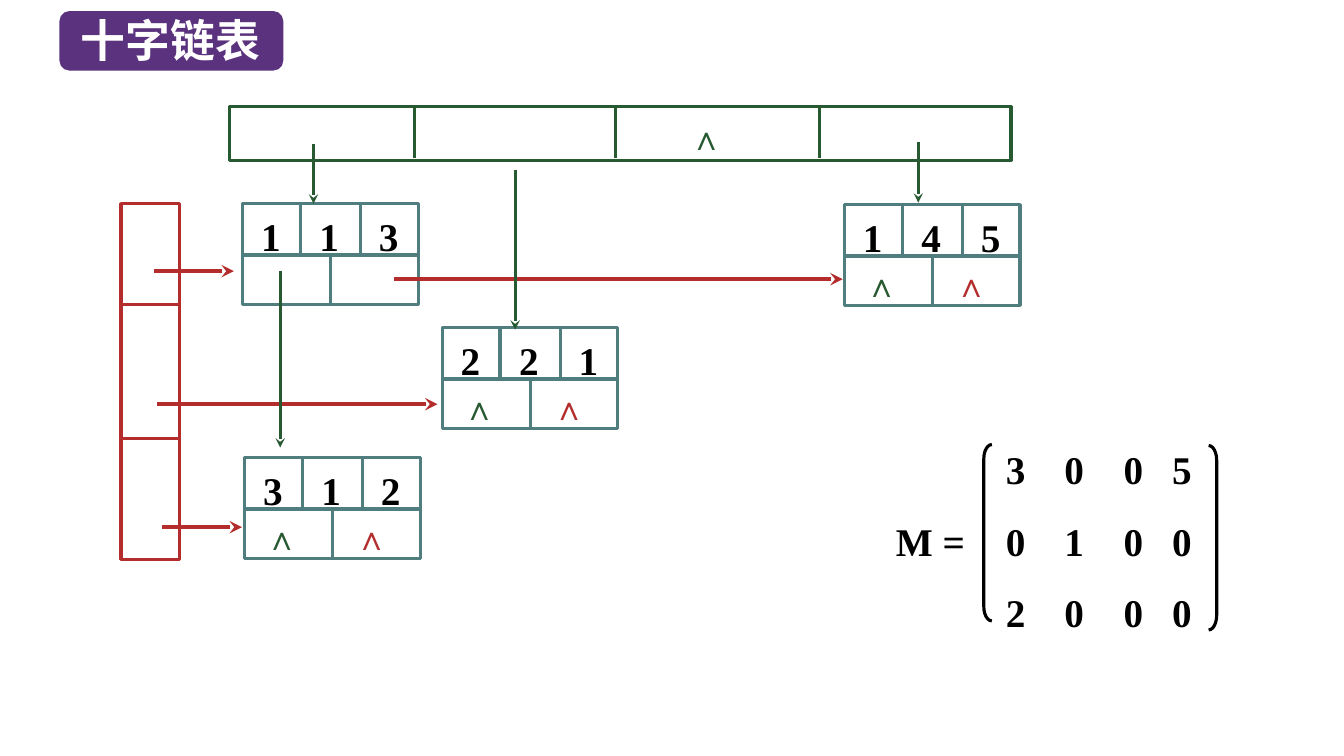
import pptx
import pptx.util
import pptx.dml.color
import pptx.enum.shapes
import pptx.enum.text
import pptx.oxml.ns
from lxml import etree

RGB = pptx.dml.color.RGBColor
PURPLE = RGB(0x5A, 0x32, 0x7D)
TEAL = RGB(0x50, 0x7D, 0x7D)
RED = RGB(0xB4, 0x2D, 0x2D)
GREEN = RGB(0x28, 0x5A, 0x32)
BLACK = RGB(0, 0, 0)
WHITE = RGB(255, 255, 255)

SHAPE = pptx.enum.shapes.MSO_SHAPE
ANCHOR = pptx.enum.text.MSO_ANCHOR
SERIF = "Times New Roman"
SANS = "Noto Sans CJK SC"
TABS = (5.8, 11.7, 16.5)  # digit columns, in grid units


def unit(value):
    """One grid column or row is a tenth of an inch."""
    return pptx.util.Inches(value / 10)


def child(parent, tag, **attrs):
    name = pptx.oxml.ns.qn("a:" + tag)
    return etree.SubElement(parent, name, {k: str(v) for k, v in attrs.items()})


class Board:
    """Holds the style and the current slide; all lengths are grid units."""

    digit = {"size": pptx.util.Pt(28), "name": SERIF, "bold": True}
    caret = {"size": pptx.util.Pt(24), "name": SERIF, "bold": True}
    head = {"size": pptx.util.Pt(32), "name": SANS, "bold": True}
    thin, thick = 2.25, 3

    def __init__(self, deck):
        self.slide = deck.slides.add_slide(deck.slide_layouts[5])
        self.shapes = self.slide.shapes

    def label(self, shape, text, style, color, pad=(1, 0.9), tabs=(),
              anchor=ANCHOR.TOP):
        frame = shape.text_frame
        left, top = map(unit, pad)
        form = {"word_wrap": False, "margin_left": left, "margin_right": 0,
                "margin_top": top, "margin_bottom": 0,
                "vertical_anchor": anchor,
                "auto_size": pptx.enum.text.MSO_AUTO_SIZE.NONE}
        for key, value in form.items():
            setattr(frame, key, value)
        para = frame.paragraphs[0]
        para.alignment = pptx.enum.text.PP_ALIGN.LEFT
        if tabs:
            stops = child(para._p.get_or_add_pPr(), "tabLst")
            for stop in tabs:
                child(stops, "tab", pos=unit(stop), algn="l")
        run = para.add_run()
        run.text = text
        for key, value in style.items():
            setattr(run.font, key, value)
        run.font.color.rgb = color
        child(run.font._element, "ea", typeface=style["name"])

    def title(self, text, *box):
        """Raise the title placeholder above its badge."""
        shape = self.shapes.title
        for key, value in zip(("left", "top", "width", "height"), box):
            setattr(shape, key, unit(value))
        self.label(shape, text, self.head, WHITE, (1, 0), anchor=ANCHOR.MIDDLE)
        self.shapes.element.append(shape.element)

    def shape(self, kind, box, line=None, fill=None, bend=None):
        shape = self.shapes.add_shape(kind, *map(unit, box))
        shape.shadow.inherit = False
        if fill is None:
            shape.fill.background()
        else:
            shape.fill.solid()
            shape.fill.fore_color.rgb = fill
        if line is None:
            shape.line.fill.background()
        else:
            shape.line.color.rgb = line
            shape.line.width = pptx.util.Pt(self.thin)
        if bend is not None:
            shape.adjustments[0] = bend
        return shape

    def text(self, box, text, style, color, **form):
        self.label(self.shapes.add_textbox(*map(unit, box)), text, style, color,
                   **form)

    def line(self, x1, y1, x2, y2, color, width=thin, arrow=False):
        kind = pptx.enum.shapes.MSO_CONNECTOR.STRAIGHT
        line = self.shapes.add_connector(kind, *map(unit, (x1, y1, x2, y2)))
        line.line.color.rgb = color
        line.line.width = pptx.util.Pt(width)
        if arrow:
            child(line.line._get_or_add_ln(), "tailEnd", type="stealth")
        child(line._element.spPr, "effectLst")

    def null(self, x, y, color):
        self.text((x, y, 4.1, 4), "∧", self.caret, color, pad=(0, 0.3))

    def node(self, x, y, cells, down=False, right=False):
        """Row, column and value above; down and right links below."""
        wide, high, mid = 17.4, 10, 5.1
        box = self.shape(SHAPE.RECTANGLE, (x, y, wide, high), TEAL)
        self.label(box, "\t".join(cells), self.digit, BLACK, (1.8, 0.9), TABS)
        self.line(x, y + mid, x + wide, y + mid, TEAL)
        for step in (5.7, 11.7):
            self.line(x + step, y, x + step, y + mid, TEAL)
        self.line(x + wide / 2, y + mid, x + wide / 2, y + high, TEAL)
        for linked, step, color in ((down, 2, GREEN), (right, 10.9, RED)):
            if not linked:
                self.null(x + step, y + 5.6, color)


def main():
    deck = pptx.Presentation()
    deck.slide_width = unit(133.33)
    deck.slide_height = unit(75)
    board = Board(deck)

    # Title badge
    board.shape(SHAPE.ROUNDED_RECTANGLE, (5.9, 1.1, 22.2, 5.9), fill=PURPLE)
    board.title("十字链表", 7, 0.7, 20.9, 6.4)

    # Row heads
    board.shape(SHAPE.RECTANGLE, (12, 20.2, 5.8, 35.3), RED)
    for y in (30.2, 43.5):
        board.line(12, y, 17.8, y, RED)

    # Column heads
    board.shape(SHAPE.RECTANGLE, (22.8, 10.6, 77.5, 5.3), GREEN)
    for x in (41.1, 61.1, 81.3):
        board.line(x, 10.7, x, 15.7, GREEN)
    board.null(68.4, 11.3, GREEN)

    # Nodes
    board.node(24.1, 20.2, "113", down=True, right=True)
    board.node(83.8, 20.3, "145")
    board.node(43.9, 32.5, "221")
    board.node(24.3, 45.4, "312")

    # Row links
    for x1, x2, y in ((15.3, 23.2, 26.9), (39.1, 83.6, 27.7),
                      (15.6, 43.4, 40.1), (16.1, 24, 52.3)):
        board.line(x1, y, x2, y, RED, board.thick, True)

    # Column links
    for x, y1, y2 in ((31.1, 14.3, 20.2), (27.8, 26.9, 44.4),
                      (51.1, 16.9, 32.7), (91.1, 14.1, 20.1)):
        board.line(x, y1, x, y2, GREEN, arrow=True)

    # Matrix
    board.text((87.9, 50.4, 9, 5.7), "M =", board.digit, BLACK)
    for row, digits in enumerate(("3005", "0100", "2000")):
        board.text((98.8, 43.3 + 7.1 * row, 24.6, 5.7), "\t".join(digits),
                   board.digit, BLACK, tabs=TABS)
    board.shape(SHAPE.LEFT_BRACKET, (97.6, 44.1, 0.8, 17.5), BLACK, bend=1.75)
    board.shape(SHAPE.RIGHT_BRACKET, (119.9, 44.2, 0.8, 18.3), BLACK, bend=1.83)

    deck.save("out.pptx")


if __name__ == "__main__":
    main()
